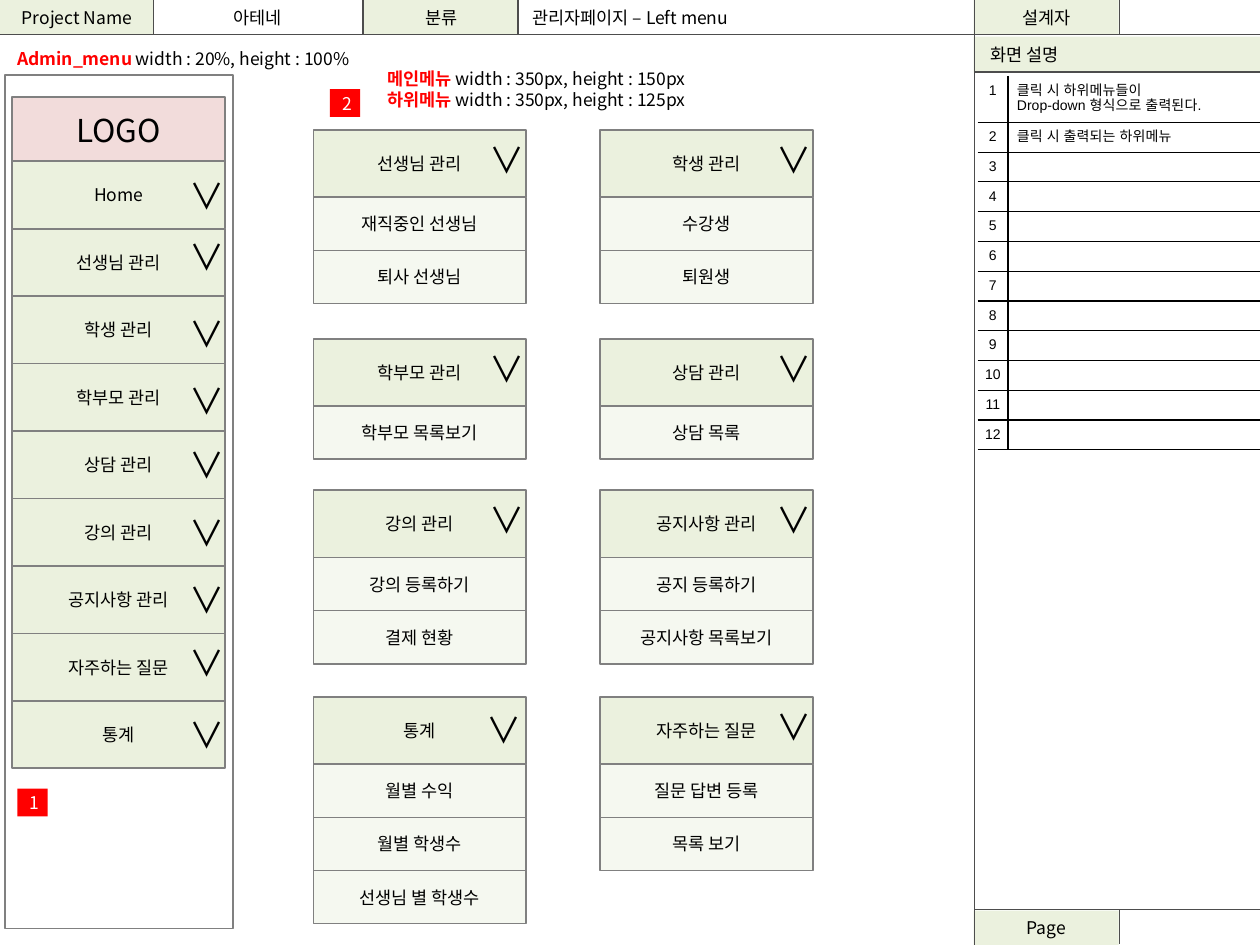
"""Build the wireframe slide of the administrator's left menu."""
from dataclasses import dataclass

from lxml import etree
from pptx import Presentation
from pptx.dml.color import RGBColor as Rgb
from pptx.enum.shapes import MSO_CONNECTOR as Connector, MSO_SHAPE as Shape
from pptx.enum.text import MSO_ANCHOR as Anchor, MSO_AUTO_SIZE as AutoSize, PP_ALIGN as Align
from pptx.oxml.ns import qn
from pptx.util import Cm, Pt


@dataclass(frozen=True)
class Theme:
    font: str = "Noto Sans CJK KR"
    table_font: str = "Arial"
    black: str = "000000"
    white: str = "FFFFFF"
    red: str = "FF0000"
    green: str = "EBF1DE"
    pink: str = "F2DCDB"
    frame: str = "808080"
    rule: str = "4D4D4D"
    body: int = 10
    small: int = 8
    logo: int = 18
    arrow: int = 20
    frame_width: float = 1
    rule_width: float = 0.75


class Wireframe:
    def __init__(self, slide, theme):
        self.slide = slide
        self.theme = theme

    def style(self, span, size=None, color=None, bold=False, font=None):
        name = font or self.theme.font
        span.font.name = name
        span.font.size = Pt(size or self.theme.body)
        span.font.bold = bold
        span.font.color.rgb = Rgb.from_string(color or self.theme.black)
        east_asian = etree.Element(qn("a:ea"), typeface=name)
        span.font._element.find(qn("a:latin")).addnext(east_asian)

    def box(self, left, top, width, height, text="", fill=None, outlined=False,
            alpha=None, size=None, color=None, align=Align.CENTER, inset=0.25):
        box = self.slide.shapes.add_shape(
            Shape.RECTANGLE, Cm(left), Cm(top), Cm(width), Cm(height))
        box.shadow.inherit = False
        if fill:
            box.fill.solid()
            box.fill.fore_color.rgb = Rgb.from_string(fill)
        else:
            box.fill.background()
        if alpha:
            tint = box._element.spPr.find(".//" + qn("a:srgbClr"))
            etree.SubElement(tint, qn("a:alpha"), val=str(alpha * 1000))
        if outlined:
            box.line.color.rgb = Rgb.from_string(self.theme.frame)
            box.line.width = Pt(self.theme.frame_width)
        else:
            box.line.fill.background()
        if text:
            frame = box.text_frame
            frame.text = text
            frame.word_wrap = True
            frame.vertical_anchor = Anchor.MIDDLE
            frame.margin_left = Cm(inset)
            para = frame.paragraphs[0]
            para.alignment = align
            self.style(para.runs[0], size, color)

    def label(self, left, top, width, height, lines, size=None, align=Align.LEFT):
        box = self.slide.shapes.add_textbox(Cm(left), Cm(top), Cm(width), Cm(height))
        frame = box.text_frame
        frame.word_wrap = True
        frame.auto_size = AutoSize.SHAPE_TO_FIT_TEXT
        for index, (strong, plain) in enumerate(lines):
            para = frame.add_paragraph() if index else frame.paragraphs[0]
            para.alignment = align
            for text, bold in ((strong, True), (plain, False)):
                if text:
                    span = para.add_run()
                    span.text = text
                    self.style(span, size, self.theme.red if bold else None, bold)

    def line(self, left, top, right, bottom):
        line = self.slide.shapes.add_connector(
            Connector.STRAIGHT, Cm(left), Cm(top), Cm(right), Cm(bottom))
        line.line.color.rgb = Rgb.from_string(self.theme.rule)
        line.line.width = Pt(self.theme.rule_width)
        etree.SubElement(line._element.spPr, qn("a:effectLst"))

    def badge(self, left, top, text):
        self.box(left, top, 0.61, 0.56, text, self.theme.red, color=self.theme.white)

    def arrow(self, left, top):
        self.label(left, top, 0.86, 1.12, [("", "∨")], self.theme.arrow)

    def menu_head(self, left, top, text, arrow_left, arrow_top):
        self.box(left, top, 4.29, 1.36, text, self.theme.green, outlined=True)
        self.arrow(arrow_left, arrow_top)

    def menu_group(self, left, top, title, items, arrow_x=3.3, arrow_y=0.05):
        self.menu_head(left, top, title, left + arrow_x, top + arrow_y)
        for index, item in enumerate(items):
            self.box(left, top + 1.36 + 1.07 * index, 4.29, 1.07, item,
                     self.theme.green, outlined=True, alpha=45)

    def borders(self, cell, sides):
        properties = cell._tc.get_or_add_tcPr()
        for side in "LRTB":
            edge = etree.SubElement(properties, qn("a:ln" + side),
                                    w=str(Pt(self.theme.rule_width)))
            if side in sides:
                paint = etree.SubElement(edge, qn("a:solidFill"))
                etree.SubElement(paint, qn("a:srgbClr"), val=self.theme.black)
            else:
                etree.SubElement(edge, qn("a:noFill"))

    def description_table(self, left, top, descriptions, count):
        table = self.slide.shapes.add_table(
            count, 2, Cm(left), Cm(top), Cm(5.69), Cm(7.52)).table
        table.first_row = table.horz_banding = False
        table.columns[0].width, table.columns[1].width = Cm(0.61), Cm(5.08)
        for index, row in enumerate(table.rows):
            row.height = Cm(0.6 if index else 0.92)
            texts = (str(index + 1), descriptions[index] if index < len(descriptions) else "")
            for column, (cell, text) in enumerate(zip(row.cells, texts)):
                cell.margin_left = cell.margin_right = Cm(0.18 if column else 0.1)
                cell.margin_top = cell.margin_bottom = Cm(0.13)
                self.borders(cell, ("L" if column else "R") + ("TB" if index else "B"))
                cell.fill.background()
                para = cell.text_frame.paragraphs[0]
                para.text = text
                para.alignment = Align.LEFT if column else Align.CENTER
                for span in para.runs:
                    self.style(span, self.theme.small, font=self.theme.table_font)
                etree.SubElement(para._p, qn("a:endParaRPr"),
                                 sz=str(self.theme.small * 100))


SIDE_MENU = [
    ("Home", 3.4), ("선생님 관리", 4.62), ("학생 관리", 6.17),
    ("학부모 관리", 7.52), ("상담 관리", 8.81), ("강의 관리", 10.19),
    ("공지사항 관리", 11.53), ("자주하는 질문", 12.8), ("통계", 14.25),
]
GROUP_ROWS = [
    (2.62, ("선생님 관리", ["재직중인 선생님", "퇴사 선생님"]),
     ("학생 관리", ["수강생", "퇴원생"])),
    (6.83, ("학부모 관리", ["학부모 목록보기"]), ("상담 관리", ["상담 목록"])),
    (9.88, ("강의 관리", ["강의 등록하기", "결제 현황"]),
     ("공지사항 관리", ["공지 등록하기", "공지사항 목록보기"])),
    (14.05, ("통계", ["월별 수익", "월별 학생수", "선생님 별 학생수"], 3.23, 0.1),
     ("자주하는 질문", ["질문 답변 등록", "목록 보기"])),
]
DESCRIPTIONS = ["클릭 시 하위메뉴들이\vDrop-down 형식으로 출력된다.", "클릭 시 출력되는 하위메뉴"]


def main():
    deck = Presentation()
    deck.slide_width, deck.slide_height = Cm(25.4), Cm(19.05)
    theme = Theme()
    page = Wireframe(deck.slides.add_slide(deck.slide_layouts[6]), theme)

    for left, top, width, text in [
            (0, 0, 3.1, "Project Name"), (7.34, 0, 3.12, "분류"),
            (19.63, 0, 2.92, "설계자"), (19.63, 18.36, 2.92, "Page")]:
        page.box(left, top, width, 0.69, text, theme.green)
    page.box(19.63, 0.74, 5.77, 0.72, "화면 설명", theme.green,
             align=Align.LEFT, inset=0.34)
    page.label(3.1, 0.01, 4.19, 0.69, [("", "아테네")], align=Align.CENTER)
    page.label(10.49, 0.02, 7.59, 0.69, [("", "관리자페이지 – Left menu")])
    for x in (3.1, 7.32, 10.44, 22.57):
        page.line(x, 0, x, 0.69)
    page.line(22.57, 18.34, 22.57, 19.03)
    page.line(19.64, 0, 19.64, 19.05)
    for left, y in ((0, 0.69), (19.64, 1.45), (19.64, 18.34)):
        page.line(left, y, 25.4, y)

    page.box(0.1, 1.52, 4.6, 17.2, outlined=True)
    page.box(0.25, 1.96, 4.29, 1.3, "LOGO", theme.pink, outlined=True, size=theme.logo)
    for index, (text, arrow_top) in enumerate(SIDE_MENU):
        page.menu_head(0.25, 3.25 + 1.36 * index, text, 3.57, arrow_top)
    page.badge(0.35, 15.9, "1")

    for top, *groups in GROUP_ROWS:
        for left, group in zip((6.32, 12.1), groups):
            page.menu_group(left, top, *group)
    page.badge(6.65, 1.8, "2")

    page.label(0.1, 0.84, 9.73, 0.69, [("Admin_menu", " width : 20%, height : 100%")])
    page.label(7.57, 1.24, 8.28, 1.12, [
        ("메인메뉴 ", "width : 350px, height : 150px"),
        ("하위메뉴 ", "width : 350px, height : 125px")])
    page.description_table(19.71, 1.53, DESCRIPTIONS, 12)
    deck.save("out.pptx")


if __name__ == "__main__":
    main()
